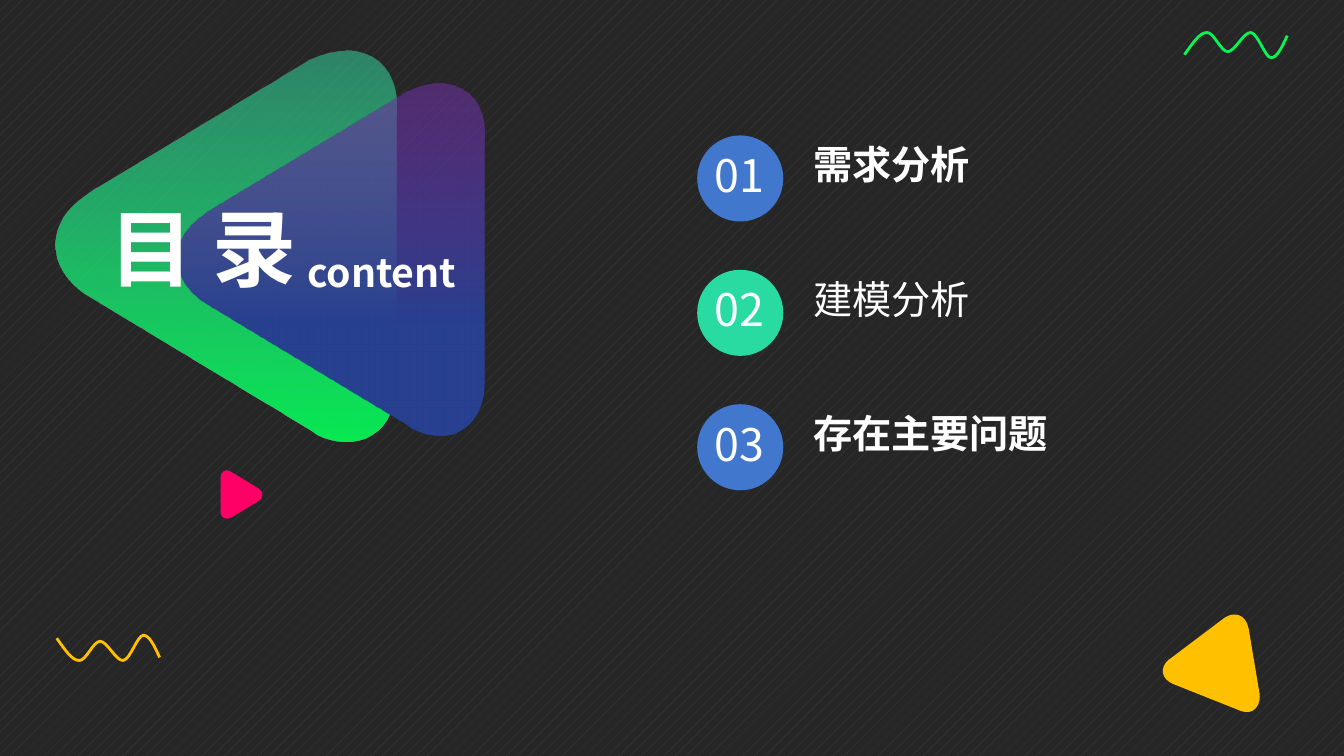
from lxml import etree
from pptx import Presentation
from pptx import util as u
from pptx.dml.color import RGBColor
from pptx.enum import dml, shapes, text
from pptx.oxml import ns

PX = 9525
FONT = "Noto Sans CJK SC"
WHITE = "FFFFFF"
BLUE = "4277CE"
GOLD = "FFC000"
TRIANGLE = [
    [(504, 0)],
    [(455, 0), (411, 32), (378, 87)],
    [(30, 748)],
    [(19, 765)],
    [(-6, 824), (-9, 883), (17, 928)],
    [(43, 975), (91, 999), (151, 1000)],
    [(831, 1000)],
    [(888, 1007), (939, 990), (970, 951)],
    [(1009, 898), (1009, 822), (976, 745)],
    [(963, 721)],
    [(638, 102)],
    [(628, 87)],
    [(597, 34), (553, 0), (504, 0)],
]
WAVE = [
    [(0, 880)],
    [(78, 440), (147, 0), (216, 0)],
    [(284, -40), (353, 760), (422, 760)],
    [(490, 760), (578, -40), (647, 0)],
    [(716, 40), (784, 1000), (843, 1000)],
    [(902, 1000), (951, 560), (1000, 120)],
]
FLIPPED_WAVE = [[(x, 1000 - y) for x, y in segment] for segment in WAVE]


def color(value):
    """Turn a hex string into a colour."""
    return RGBColor.from_string(value)


def emu(*lengths):
    """Turn px lengths into EMU."""
    return [u.Emu(length * PX) for length in lengths]


def add_outline(page, box, segments, close):
    """Draw lines and cubic curves given in thousandths of the box."""
    anchors = [segment[-1] for segment in segments]
    builder = page.shapes.build_freeform(*anchors[0], scale=PX)
    builder.add_line_segments(anchors[1:], close=close)
    outline = builder.convert_to_shape()
    outline.shadow.inherit = False
    outline.left, outline.top, outline.width, outline.height = emu(*box)
    track = outline._element.spPr.find(".//" + ns.qn("a:path"))
    track.set("w", "1000")
    track.set("h", "1000")
    for command, segment in zip(list(track), segments):
        for point in list(command):
            command.remove(point)
        if len(segment) == 3:
            curve = etree.Element(ns.qn("a:cubicBezTo"))
            track.replace(command, curve)
            command = curve
        for x, y in segment:
            etree.SubElement(command, ns.qn("a:pt"), x=str(x), y=str(y))
    return outline


def add_triangle(page, box, rotation, fill=None, stops=None):
    """Draw a rounded triangle with a plain fill or a gradient along its base."""
    triangle = add_outline(page, box, TRIANGLE, True)
    triangle.line.fill.background()
    triangle.rotation = rotation
    if fill:
        triangle.fill.solid()
        triangle.fill.fore_color.rgb = color(fill)
        return
    triangle.fill.gradient()
    triangle.fill.gradient_angle = 0
    for stop, (position, value, _) in zip(triangle.fill.gradient_stops, stops):
        stop.position = position
        stop.color.rgb = color(value)
    tints = triangle._element.spPr.findall(".//" + ns.qn("a:srgbClr"))
    for tint, (_, _, opacity) in zip(tints, stops):
        etree.SubElement(tint, ns.qn("a:alpha"), val=str(opacity * 1000))


def add_wave(page, box, segments, value):
    """Draw a wavy line."""
    wave = add_outline(page, box, segments, False)
    wave.fill.background()
    wave.line.color.rgb = color(value)
    wave.line.width = u.Pt(2)


def add_text(page, box, words, size, bold=False, wrap=True, align=text.PP_ALIGN.CENTER):
    """Place one line of white text."""
    frame = page.shapes.add_textbox(*emu(*box)).text_frame
    frame.word_wrap = wrap
    frame.auto_size = text.MSO_AUTO_SIZE.SHAPE_TO_FIT_TEXT
    para = frame.paragraphs[0]
    para.alignment = align
    span = para.add_run()
    span.text = words
    span.font.size = u.Pt(size)
    span.font.bold = bold
    span.font.color.rgb = color(WHITE)
    span.font.name = FONT
    etree.SubElement(span._r.get_or_add_rPr(), ns.qn("a:ea"), typeface=FONT)


def add_title(page, left, top):
    """Draw the overlapping triangles with the heading on them."""
    add_triangle(page, (left, top, 372, 325), 270,
                 stops=[(0, "07F757", 94), (1, "36DEA6", 51)])
    add_triangle(page, (left + 119, top + 29, 334, 292), 270,
                 stops=[(0.31, "27408F", 100), (1, "7030A0", 58)])
    add_text(page, (left + 62, top + 110, 205, 107), "目 录", 60, bold=True, wrap=False)
    add_text(page, (left + 252, top + 160, 165, 55), "content", 28, bold=True, wrap=False)


def add_entry(page, left, top, number, label, fill, bold):
    """Draw one numbered line of the contents."""
    add_text(page, (left + 101, top, 282, 55), label, 28, bold=bold,
             align=text.PP_ALIGN.LEFT)
    disc = page.shapes.add_shape(shapes.MSO_SHAPE.OVAL, *emu(left, top, 82, 82))
    disc.rotation = 45
    disc.shadow.inherit = False
    disc.fill.solid()
    disc.fill.fore_color.rgb = color(fill)
    disc.line.fill.background()
    add_text(page, (left - 3, top + 7, 87, 61), f"{number:02}", 32)


def add_contents(page, left, top):
    """Stack the entries of the contents at an equal pitch."""
    entries = [("需求分析", BLUE, True), ("建模分析", "29DBA0", False),
               ("存在主要问题", BLUE, True)]
    for index, (label, fill, bold) in enumerate(entries):
        add_entry(page, left, top + index * 128, index + 1, label, fill, bold)


def add_backdrop(page):
    """Set the patterned background and scatter the ornaments."""
    fill = page.background.fill
    fill.patterned()
    fill.pattern = dml.MSO_PATTERN.PERCENT_10
    fill.fore_color.rgb = color("404040")
    fill.back_color.rgb = color("262626")
    add_triangle(page, (1116, 583, 97, 84), 21.7, fill=GOLD)
    add_triangle(page, (207, 451, 46, 40), 90, fill="FF0066")
    add_wave(page, (1128, 31, 98, 24), WAVE, "07F356")
    add_wave(page, (54, 605, 98, 24), FLIPPED_WAVE, GOLD)


def main():
    """Build the contents slide and save it."""
    deck = Presentation()
    deck.slide_width, deck.slide_height = emu(1280, 720)
    page = deck.slides.add_slide(deck.slide_layouts[6])
    add_backdrop(page)
    add_title(page, 29, 72)
    add_contents(page, 664, 129)
    deck.save("out.pptx")


if __name__ == "__main__":
    main()
